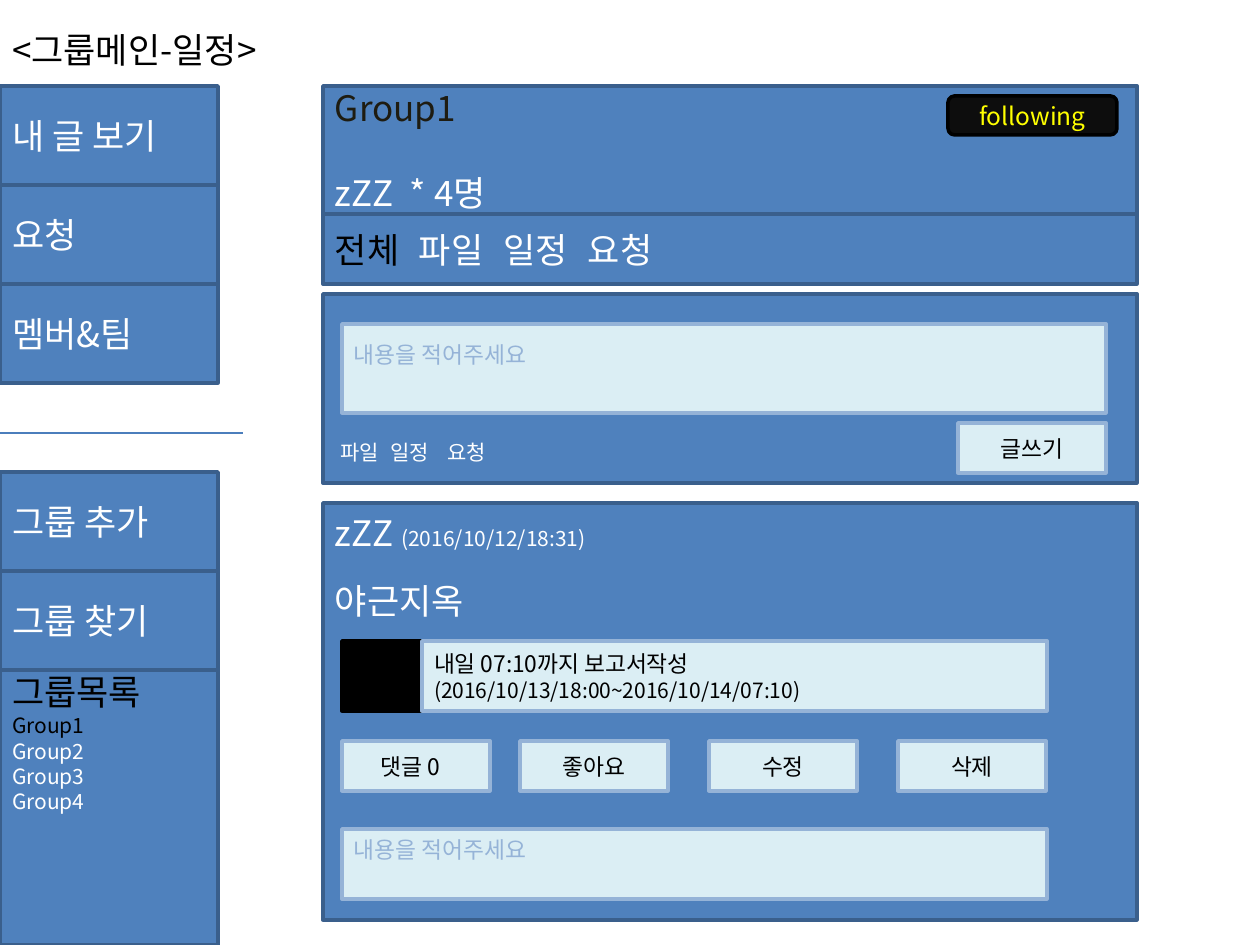
"""Build the group main page wireframe with its schedule post."""
from lxml import etree
from pptx import Presentation, util as u
from pptx.dml.color import RGBColor
from pptx.enum import shapes, text
from pptx.oxml.ns import qn

PX = 914400 // 126
FONT = "Noto Sans CJK KR"
HEX = {
    "blue": "4F81BD", "edge": "3A5F8C", "rule": "4B7EBC", "pale": "DBEEF4",
    "rim": "95B3D7", "black": "000000", "white": "FFFFFF", "dark": "0D0D0D",
    "ink": "1E1C11", "yellow": "FFFF00",
}
PANEL = ("blue", "edge")
FIELD = ("pale", "rim")
TOP, MID, LOW = (text.MSO_ANCHOR.TOP, text.MSO_ANCHOR.MIDDLE,
                 text.MSO_ANCHOR.BOTTOM)
HINT = "내용을 적어주세요"


def px(num):
    """Turn pixels into EMU."""
    return u.Emu(num * PX)


def rgb(name):
    """Look up a named colour."""
    return RGBColor.from_string(HEX[name])


def add_run(para, words, size, color):
    """Add one run in the slide font."""
    run = para.add_run()
    run.text = words
    run.font.size = u.Pt(size)
    run.font.name = FONT
    run.font.color.rgb = rgb(color)
    east = etree.SubElement(run.font._element, qn("a:ea"))
    east.set("typeface", FONT)


def add_tabs(para, stops):
    """Set left tab stops, in pixels from the text edge."""
    tabs = etree.SubElement(para._p.get_or_add_pPr(), qn("a:tabLst"))
    for stop in stops:
        etree.SubElement(tabs, qn("a:tab"), pos=str(px(stop)), algn="l")


def fill_text(shape, paras, anchor=MID, center=False, pad=(12, 6, 12, 6),
              gaps=(), tabs=()):
    """Write paragraphs, each a list of runs; gaps maps index to points."""
    frame = shape.text_frame
    frame.word_wrap = True
    frame.vertical_anchor = anchor
    (frame.margin_left, frame.margin_top,
     frame.margin_right, frame.margin_bottom) = map(px, pad)
    gaps, tabs = dict(gaps), dict(tabs)
    for i, runs in enumerate(paras):
        para = frame.paragraphs[0] if i == 0 else frame.add_paragraph()
        para.alignment = text.PP_ALIGN.CENTER if center else text.PP_ALIGN.LEFT
        if i in gaps:
            para.space_before = u.Pt(gaps[i])
        if i in tabs:
            add_tabs(para, tabs[i])
        for run in runs:
            add_run(para, *run)


def add_box(slide, area, look, paras=(), round_=False, **style):
    """Add a filled and outlined box with text."""
    kind = shapes.MSO_SHAPE
    shape = slide.shapes.add_shape(
        kind.ROUNDED_RECTANGLE if round_ else kind.RECTANGLE, *map(px, area))
    shape.shadow.inherit = False
    shape.fill.solid()
    shape.fill.fore_color.rgb = rgb(look[0])
    shape.line.color.rgb = rgb(look[1])
    shape.line.width = u.Pt(2)
    fill_text(shape, paras, **style)


def add_button(slide, left, top, label, pad=12):
    """Add a small pale button."""
    add_box(slide, (left, top, 148, 50), FIELD, [[(label, 13, "black")]],
            center=True, pad=(12, 6, pad, 6))


def add_input(slide, area, inset):
    """Add a text field with its hint."""
    add_box(slide, area, FIELD, [[(HINT, 13, "rim")]], anchor=TOP,
            pad=(12, inset, 12, 0))


def add_rule(slide, top, width):
    """Add a thin line from the left edge."""
    line = slide.shapes.add_connector(
        shapes.MSO_CONNECTOR.STRAIGHT, 0, px(top), px(width), px(top))
    line.line.color.rgb = rgb("rule")
    line.line.width = u.Pt(0.75)
    etree.SubElement(line._element.spPr, qn("a:effectLst"))


def add_side(slide):
    """Add the title, menu and group list."""
    title = slide.shapes.add_textbox(0, 0, px(1145), px(99))
    fill_text(title, [[("<그룹메인-일정>", 20, "black")]])
    menus = ((86, ("내 글 보기", "요청", "멤버&팀")),
             (472, ("그룹 추가", "그룹 찾기")))
    for top, labels in menus:
        for i, label in enumerate(labels):
            add_box(slide, (0, top + 99 * i, 218, 99), PANEL,
                    [[(label, 20, "white")]])
    add_rule(slide, 433, 243)
    groups = [[(f"Group{n}", 12, "black" if n == 1 else "white")]
              for n in range(1, 5)]
    add_box(slide, (0, 670, 218, 275), PANEL,
            [[("그룹목록", 20, "black")], *groups],
            anchor=TOP, pad=(12, 1, 12, 0))


def add_head(slide):
    """Add the group header and its tabs."""
    add_box(slide, (323, 86, 814, 128), PANEL,
            [[("Group1", 20, "ink")], [("zZZ\t* 4명", 20, "white")]],
            gaps={1: 24.3}, tabs={1: [75]})
    add_box(slide, (948, 96, 169, 39), ("dark", "black"),
            [[("following", 14, "yellow")]], round_=True, center=True)
    add_box(slide, (323, 214, 814, 70), PANEL,
            [[("전체", 20, "black"), ("\t파일\t일정\t요청", 20, "white")]],
            tabs={0: [84, 168, 253]})


def add_form(slide):
    """Add the panel for writing a post."""
    add_box(slide, (323, 294, 814, 189), PANEL,
            [[("파일\t일정\t요청", 12, "white")]], anchor=LOW,
            pad=(17, 0, 12, 18), tabs={0: [50, 107]})
    add_input(slide, (342, 324, 764, 89), 17)
    add_button(slide, 958, 423, "글쓰기")


def add_post(slide):
    """Add the post with its schedule, buttons and reply field."""
    add_box(slide, (323, 503, 814, 417), PANEL,
            [[("zZZ ", 20, "white"), ("(2016/10/12/18:31)", 12, "white")],
             [("야근지옥", 20, "white")]],
            anchor=TOP, pad=(12, 9, 12, 0), gaps={1: 14.5})
    add_box(slide, (342, 641, 80, 70), ("black", "black"))
    add_box(slide, (422, 641, 625, 70), FIELD,
            [[("내일 07:10까지 보고서작성 ", 13, "black"),
              ("(2016/10/13/18:00~2016/10/14/07:10)", 12, "black")]])
    add_button(slide, 342, 741, "댓글 0", pad=24)
    for i, label in enumerate(("좋아요", "수정", "삭제")):
        add_button(slide, 520 + 189 * i, 741, label)
    add_input(slide, (342, 829, 705, 70), 7)


def main():
    """Build and save the slide."""
    deck = Presentation()
    deck.slide_width, deck.slide_height = u.Inches(10), u.Inches(7.5)
    slide = deck.slides.add_slide(deck.slide_layouts[6])
    for part in (add_side, add_head, add_form, add_post):
        part(slide)
    deck.save("out.pptx")


if __name__ == "__main__":
    main()
